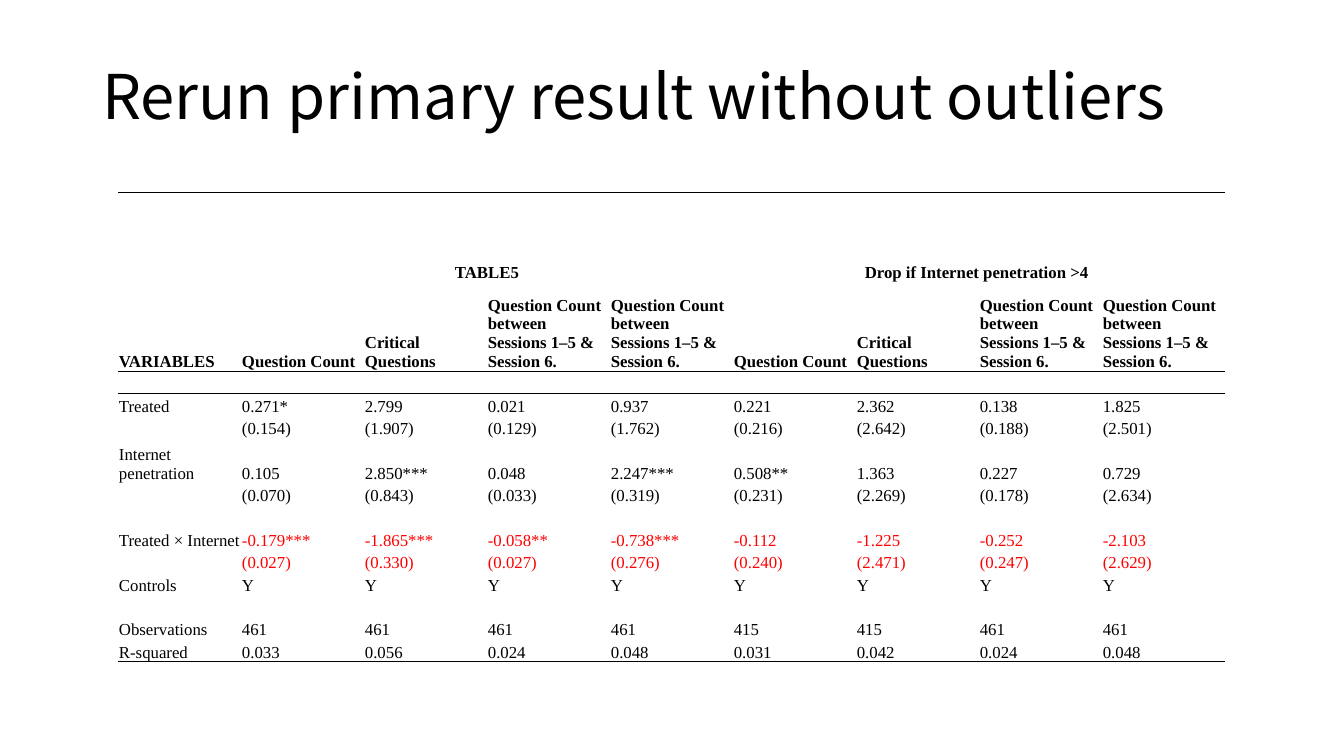
from pptx import Presentation
from pptx.dml.color import RGBColor
from pptx.enum.text import MSO_ANCHOR as Anchor, MSO_AUTO_SIZE as Fit, PP_ALIGN as Align
from pptx.oxml.ns import qn
from pptx.util import Pt
from lxml.etree import SubElement

PX = 914400 / 100.8
BLACK = RGBColor(0, 0, 0)
RED = RGBColor(255, 0, 0)


def px(n):
    return round(n * PX)


def write(frame, text, font="Times New Roman", size=12, color=BLACK, bold=False, align=Align.LEFT):
    para = frame.paragraphs[0]
    para.alignment = align
    if not text:
        SubElement(para._p, qn("a:endParaRPr"), sz=str(size * 100))
        return
    run = para.add_run()
    run.text = text
    run.font.name = font
    run.font.size = Pt(size)
    run.font.bold = bold
    run.font.color.rgb = color
    for tag in ("a:ea", "a:cs"):
        SubElement(run._r.rPr, qn(tag), typeface=font)


deck = Presentation()
deck.slide_width = px(1344)
deck.slide_height = px(756)
slide = deck.slides.add_slide(deck.slide_layouts[5])

title = slide.shapes.title
title.left, title.top, title.width, title.height = px(92), px(27), px(1159), px(146)
frame = title.text_frame
frame.auto_size = Fit.NONE
frame.vertical_anchor = Anchor.MIDDLE
write(frame, "Rerun primary result without outliers", font="Noto Sans CJK SC", size=44)
frame.paragraphs[0].line_spacing = 0.9

session = "Question Count between Sessions 1–5 & Session 6."
heads = ["Question Count", "Critical Questions", session, session]
rows = [
    ["", "TABLE5", "", "", "", "Drop if Internet penetration >4 ", "", "", ""],
    ["VARIABLES"] + heads * 2,
    [""] * 9,
    ["Treated", "0.271*", "2.799", "0.021", "0.937", "0.221", "2.362", "0.138", "1.825"],
    ["", "(0.154)", "(1.907)", "(0.129)", "(1.762)", "(0.216)", "(2.642)", "(0.188)", "(2.501)"],
    ["Internet penetration", "0.105", "2.850***", "0.048", "2.247***", "0.508**", "1.363", "0.227", "0.729"],
    ["", "(0.070)", "(0.843)", "(0.033)", "(0.319)", "(0.231)", "(2.269)", "(0.178)", "(2.634)"],
    ["Treated × Internet", "-0.179***", "-1.865***", "-0.058**", "-0.738***", "-0.112", "-1.225", "-0.252", "-2.103"],
    ["", "(0.027)", "(0.330)", "(0.027)", "(0.276)", "(0.240)", "(2.471)", "(0.247)", "(2.629)"],
    ["Controls"] + ["Y"] * 8,
    ["Observations", "461", "461", "461", "461", "415", "415", "461", "461"],
    ["R-squared", "0.033", "0.056", "0.024", "0.048", "0.031", "0.042", "0.024", "0.048"],
]
highs = [90, 89, 22, 23, 22, 45, 22, 45, 22, 23, 44, 23]
rules = {0: "a:lnT", 1: "a:lnB", 2: "a:lnT", 11: "a:lnB"}

table = slide.shapes.add_table(len(rows), 9, px(118), px(192), px(1107), px(sum(highs))).table
table.first_row = False
table.horz_banding = False
style = table._tbl.tblPr.find(qn("a:tableStyleId"))
style.text = "{2D5ABB26-0587-4C30-8999-92F81FD0307C}"
for col in table.columns:
    col.width = px(123)
for row, high in zip(table.rows, highs):
    row.height = px(high)
for left in (1, 5):
    table.cell(0, left).merge(table.cell(0, left + 3))

for r, row in enumerate(rows):
    for c, text in enumerate(row):
        cell = table.cell(r, c)
        cell.margin_left = cell.margin_right = cell.margin_top = px(1)
        cell.margin_bottom = 0
        cell.vertical_anchor = Anchor.BOTTOM
        if r in rules:
            edge = SubElement(cell._tc.tcPr, qn(rules[r]), w=str(Pt(0.5)))
            fill = SubElement(edge, qn("a:solidFill"))
            SubElement(fill, qn("a:srgbClr"), val=str(BLACK))
        cell.fill.background()
        write(cell.text_frame, text, bold=r < 2,
              color=RED if r in (7, 8) and c else BLACK,
              align=Align.LEFT if r else Align.CENTER)

deck.save("out.pptx")
